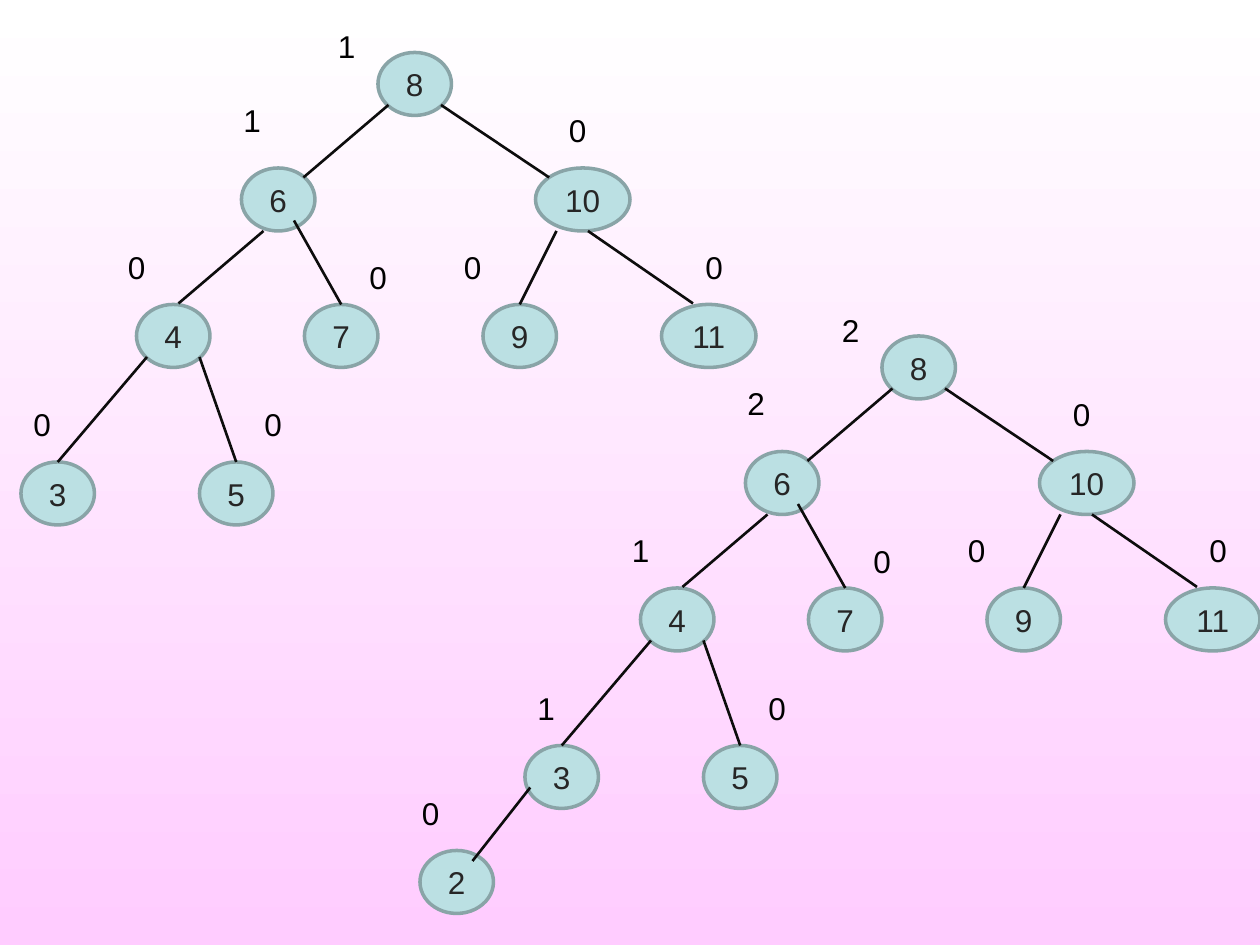
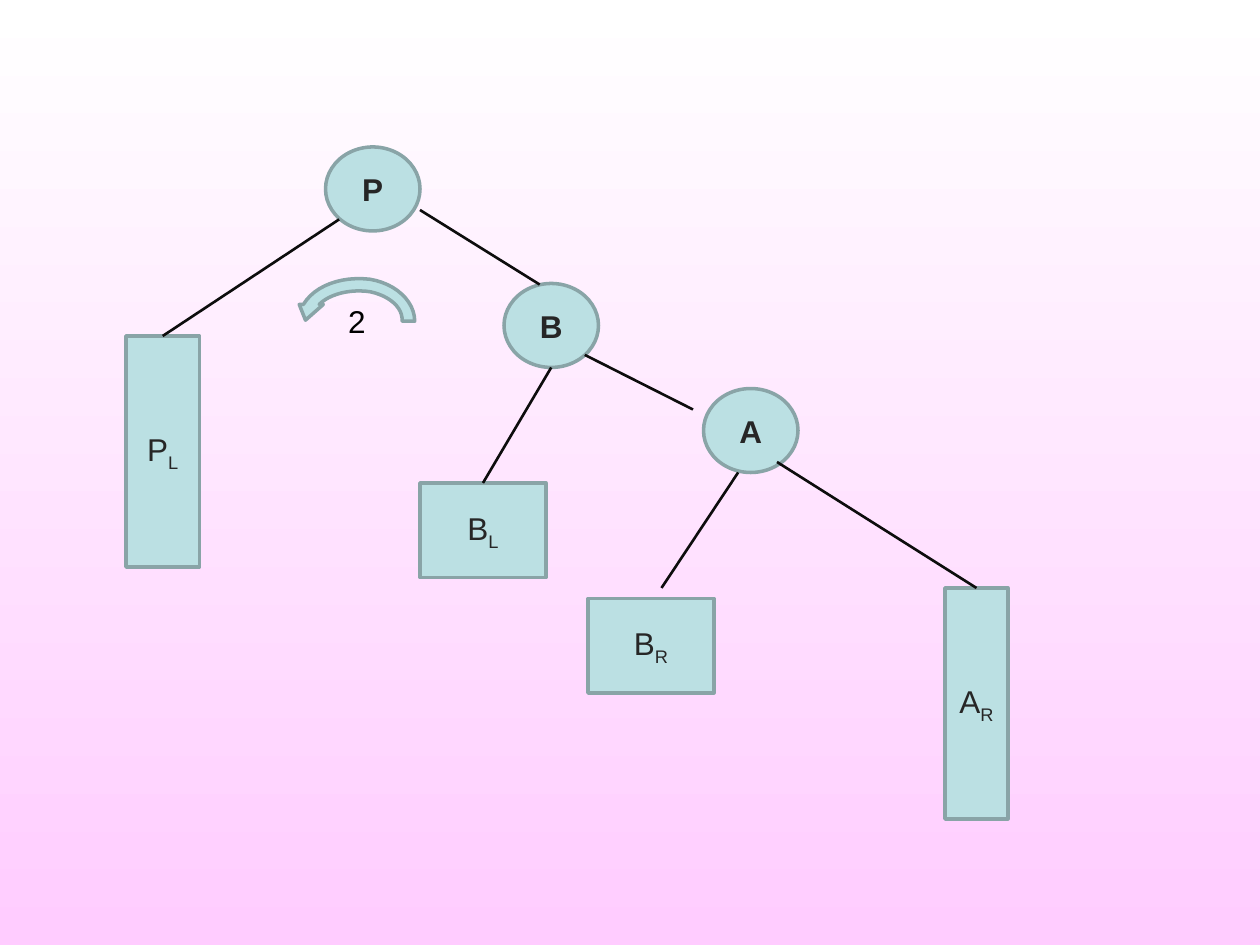
"""Build two slides on AVL trees: insertion with balance factors, and a left rotation."""
from lxml import etree
from pptx import Presentation
from pptx import util as u
from pptx.dml.color import RGBColor
from pptx.enum import shapes, text
from pptx.oxml.ns import qn

COLORS = {"sky": "FFFFFF", "pink": "FFCCFF", "node": "BBE0E3", "border": "89A4A7",
          "edge": "0D0D0D", "key": "262626", "label": "000000"}
STEP = 2.54 / 12
OVAL = shapes.MSO_SHAPE.OVAL
RECTANGLE = shapes.MSO_SHAPE.RECTANGLE


def put(page, words, place, form=None, color="key", bold=False, sub="", center=True):
    """Place words, with an optional subscript, in a preset shape or a plain text box."""
    place = [u.Cm(value * STEP) for value in place]
    if form is None:
        box = page.shapes.add_textbox(*place)
    else:
        box = page.shapes.add_shape(form, *place)
        box.shadow.inherit = False
        box.fill.solid()
        box.fill.fore_color.rgb = RGBColor.from_string(COLORS["node"])
        box.line.color.rgb = RGBColor.from_string(COLORS["border"])
        box.line.width = u.Pt(2)
        box.text_frame.vertical_anchor = text.MSO_ANCHOR.MIDDLE
    box.text_frame.word_wrap = True
    para = box.text_frame.paragraphs[0]
    para.alignment = text.PP_ALIGN.CENTER if center else text.PP_ALIGN.LEFT
    for part in filter(None, (words, sub)):
        span = para.add_run()
        span.text = part
        span.font.name = "Arial"
        span.font.size = u.Pt(18)
        span.font.bold = bold
        span.font.color.rgb = RGBColor.from_string(COLORS[color])
    if sub:
        span._r.get_or_add_rPr().set("baseline", "-25000")


def join(page, *ends):
    """Draw a tree edge between two points."""
    edge = page.shapes.add_connector(shapes.MSO_CONNECTOR.STRAIGHT,
                                     *[u.Cm(value * STEP) for value in ends])
    edge.line.color.rgb = RGBColor.from_string(COLORS["edge"])
    edge.line.width = u.Pt(1.5)
    etree.SubElement(edge._element.spPr, qn("a:effectLst"))


deck = Presentation()
deck.slide_width, deck.slide_height = u.Cm(25.4), u.Cm(19.05)
blank = deck.slide_layouts[6]
backdrop = deck.slide_master.background.fill
backdrop.gradient()
backdrop.gradient_angle = 270
for stop, position, name in zip(backdrop.gradient_stops, (0, 1), ("sky", "pink")):
    stop.position = position
    stop.color.rgb = RGBColor.from_string(COLORS[name])

nodes = [("8", 36, 5), ("6", 23, 16), ("10", 51, 16), ("4", 13, 29), ("7", 29, 29),
         ("9", 46, 29), ("11", 63, 29), ("3", 2, 44), ("5", 19, 44)]
edges = [(37, 10, 28.9, 16.9), (25.1, 22, 17, 28.9), (14, 34, 5.5, 44),
         (42, 10, 52.3, 16.9), (56, 22, 66, 28.9), (53, 22, 49.5, 29),
         (28, 21, 32.5, 29), (19, 34, 22.5, 44)]
label_spots = [(31, 2), (22, 9), (53, 10), (11, 23), (34, 24),
               (43, 23), (66, 23), (2, 38), (24, 38)]
new_node, new_edge, new_label = ("2", -8, 54), (2.5, 48, -3, 55), (-9, 48)

trees = [
    (0, 0, nodes, edges, label_spots, "110000000"),
    (48, 27, nodes + [new_node], edges + [new_edge], label_spots + [new_label], "2201000100"),
]
page = deck.slides.add_slide(blank)
for across, down, keys, links, spots, balances in trees:
    for key, x, y in keys:
        put(page, key, (x + across, y + down, 9 if len(key) > 1 else 7, 6), OVAL)
    for x1, y1, x2, y2 in links:
        join(page, x1 + across, y1 + down, x2 + across, y2 + down)
    for balance, (x, y) in zip(balances, spots):
        put(page, balance, (x + across, y + down, 5, 4.8), color="label", center=False)

page = deck.slides.add_slide(blank)
for key, x, y in [("P", 31, 14), ("B", 48, 27), ("A", 67, 37)]:
    put(page, key, (x, y, 9, 8), OVAL, bold=True)
for parent, side, *place in [("P", "L", 12, 32, 7, 22), ("B", "L", 40, 46, 12, 9),
                             ("B", "R", 56, 57, 12, 9), ("A", "R", 90, 56, 6, 22)]:
    put(page, parent, place, RECTANGLE, sub=side)
for ends in [(32.3, 20.9, 15.5, 32), (40, 20, 51.4, 27.1), (52.5, 35, 46, 46),
             (55.7, 33.8, 66, 39), (70.3, 45, 63, 56), (74, 44, 93, 56)]:
    join(page, *ends)

outer_arc = [(39.5, 30.6), (39.5, 28.7), (37.7, 27), (35.2, 26.6),
             (32.5, 26.3), (30, 27.2), (28.9, 29)]
arrow_head = [(28.5, 29), (29.1, 30.5), (30.8, 29)]
inner_arc = [(30.4, 29), (31.4, 28), (33.4, 27.5), (35.3, 27.8),
             (37.1, 28.2), (38.4, 29.3), (38.3, 30.6)]
curves = []
for arc in (outer_arc, inner_arc):
    points = [arc[0]]
    for first in (0, 3):
        for t in [count / 12 for count in range(1, 13)]:
            weights = ((1 - t) ** 3, 3 * t * (1 - t) ** 2, 3 * t * t * (1 - t), t ** 3)
            points.append([sum(weight * point[axis] for weight, point
                               in zip(weights, arc[first:first + 4])) for axis in (0, 1)])
    curves.append(points)
outline = [(u.Cm(x * STEP), u.Cm(y * STEP)) for x, y in curves[0] + arrow_head + curves[1]]
builder = page.shapes.build_freeform(*outline[0])
builder.add_line_segments(outline[1:], close=True)
arrow = builder.convert_to_shape()
arrow.shadow.inherit = False
arrow.fill.solid()
arrow.fill.fore_color.rgb = RGBColor.from_string(COLORS["node"])
arrow.line.color.rgb = RGBColor.from_string(COLORS["border"])
arrow.line.width = u.Pt(2)
put(page, "2", (28, 28.2, 12, 4.8), color="label")

deck.save("out.pptx")
